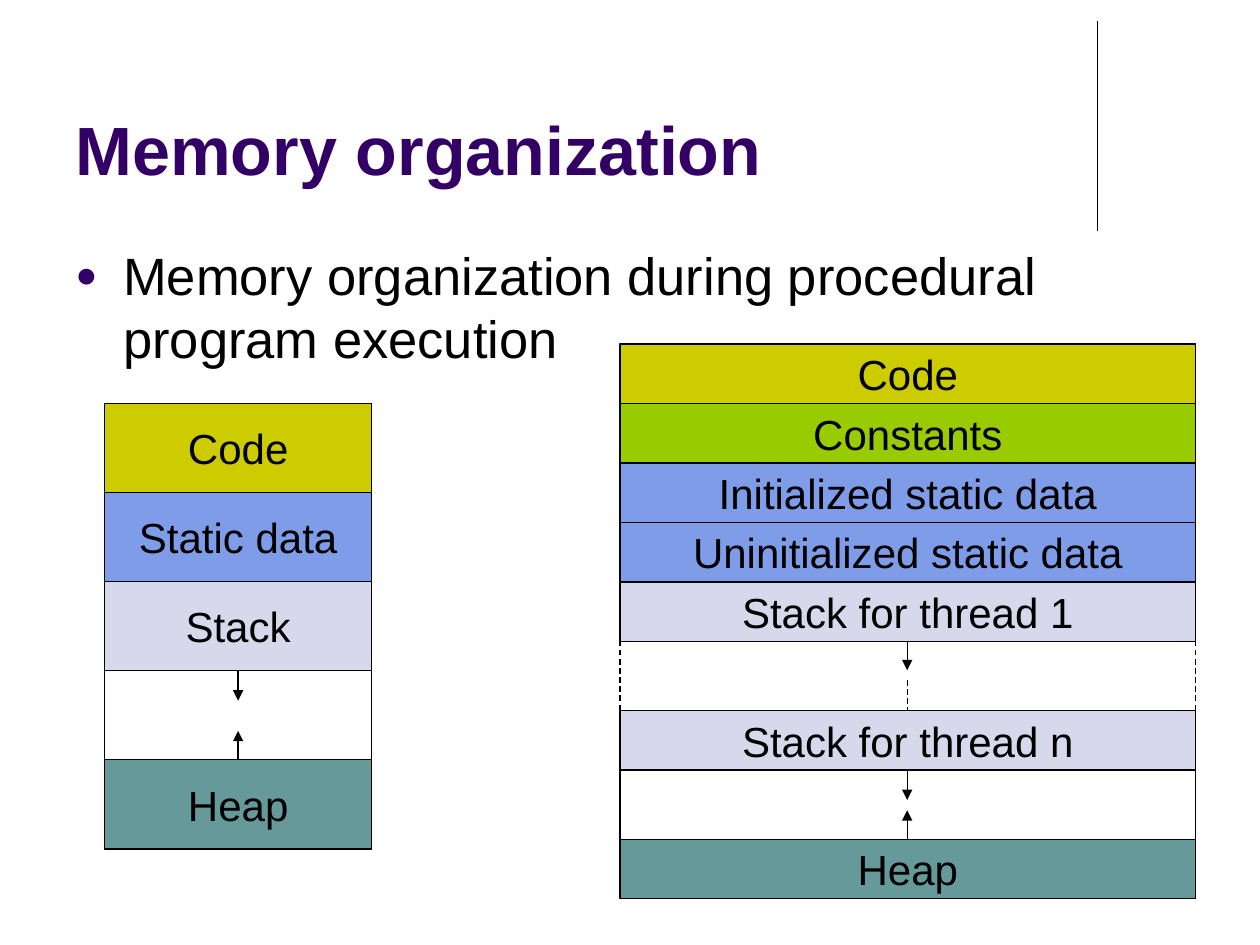
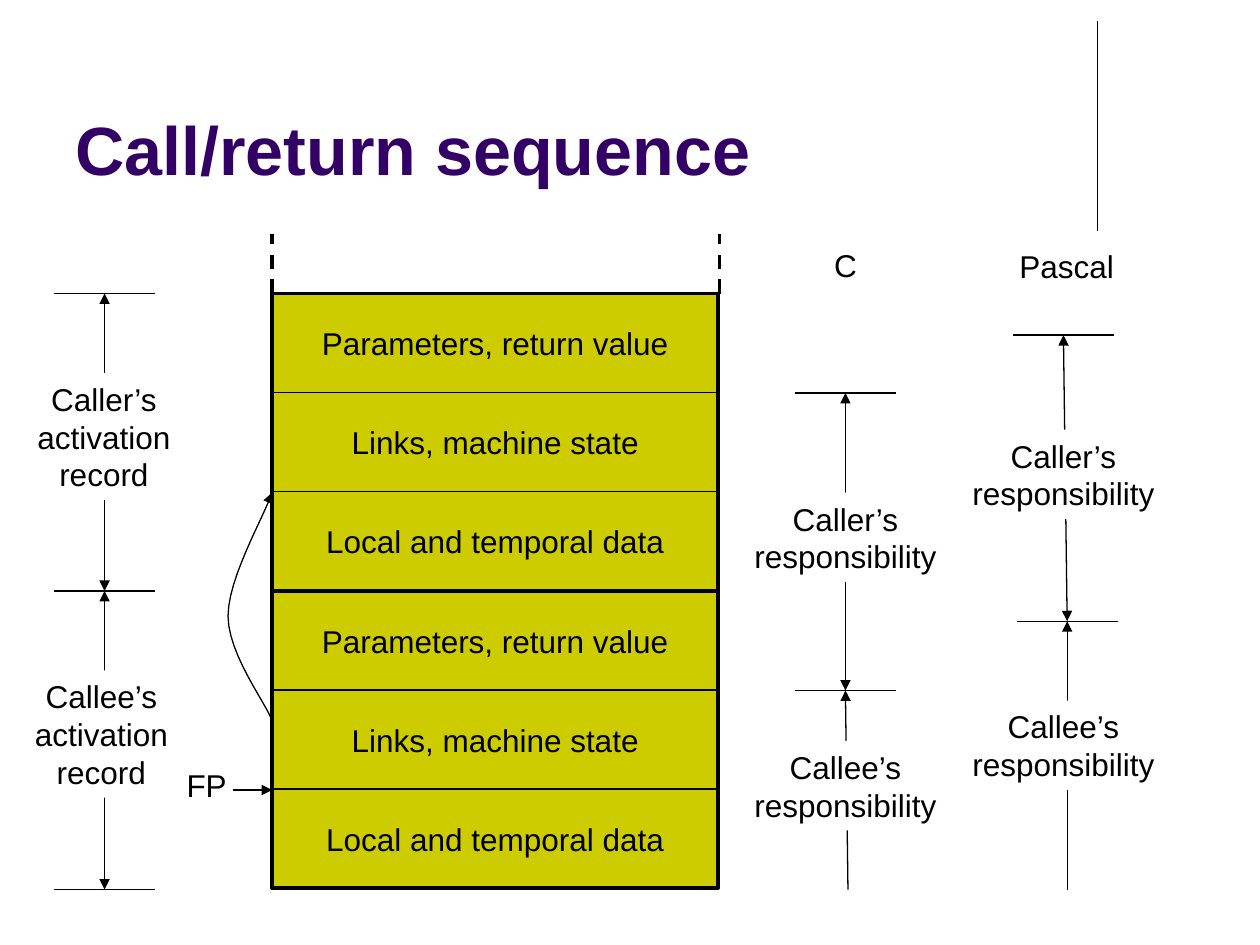
from lxml import etree
from pptx import Presentation
from pptx.dml.color import RGBColor
from pptx.enum import dml, shapes, text
from pptx.oxml import ns
from pptx.util import Inches, Pt

BLACK = RGBColor(0x00, 0x00, 0x00)
WHITE = RGBColor(0xFF, 0xFF, 0xFF)
PURPLE = RGBColor(0x33, 0x00, 0x66)
OLIVE = RGBColor(0xCC, 0xCC, 0x00)
GREEN = RGBColor(0x99, 0xCC, 0x00)
BLUE = RGBColor(0x7E, 0x9C, 0xE8)
LILAC = RGBColor(0xD8, 0xD8, 0xEC)
TEAL = RGBColor(0x66, 0x99, 0x99)
FONT = "Arial"


def add_box(s, x, y, w, h, txt="", size=18, fill=None, border=0.75):
    at = Inches(x), Inches(y), Inches(w), Inches(h)
    if border:
        sp = s.shapes.add_shape(shapes.MSO_SHAPE.RECTANGLE, *at)
        sp.shadow.inherit = False
        sp.line.color.rgb = BLACK
        sp.line.width = Pt(border)
    else:
        sp = s.shapes.add_textbox(*at)
    if fill is None:
        sp.fill.background()
    else:
        sp.fill.solid()
        sp.fill.fore_color.rgb = fill
    tf = sp.text_frame
    tf.text = txt
    tf.word_wrap = False
    tf.vertical_anchor = text.MSO_ANCHOR.MIDDLE
    p = tf.paragraphs[0]
    p.alignment = text.PP_ALIGN.CENTER
    for r in p.runs:
        r.font.name = FONT
        r.font.size = Pt(size)
        r.font.color.rgb = BLACK
    return sp


def add_line(s, x1, y1, x2, y2, ends=(), width=0.75, dash=False):
    c = s.shapes.add_connector(shapes.MSO_CONNECTOR.STRAIGHT,
                               Inches(x1), Inches(y1), Inches(x2), Inches(y2))
    c.line.color.rgb = BLACK
    c.line.width = Pt(width)
    if dash:
        c.line.dash_style = dml.MSO_LINE.DASH
    for end in ends:
        etree.SubElement(c.line._get_or_add_ln(), ns.qn("a:" + end), type="triangle")
    etree.SubElement(c._element.spPr, ns.qn("a:effectLst"))


HEAD, TAIL, BOTH = ["headEnd"], ["tailEnd"], ["headEnd", "tailEnd"]

prs = Presentation()
prs.slide_width = Inches(10)
prs.slide_height = Inches(7.5)

for title in ["Memory organization", "Call/return sequence"]:
    s = prs.slides.add_slide(prs.slide_layouts[6])
    add_line(s, 8.71, 0.17, 8.71, 1.83)
    sp = add_box(s, 0.5, 0.13, 8.25, 1.42, title, 39, border=0)
    tf = sp.text_frame
    tf.word_wrap = True
    tf.vertical_anchor = text.MSO_ANCHOR.BOTTOM
    p = tf.paragraphs[0]
    p.alignment = text.PP_ALIGN.LEFT
    p.runs[0].font.bold = True
    p.runs[0].font.color.rgb = PURPLE

memory, call = prs.slides

s = memory
sp = add_box(s, 0.5, 1.88, 9, 1.16,
             "Memory organization during procedural program execution", 30, border=0)
tf = sp.text_frame
tf.word_wrap = True
tf.vertical_anchor = text.MSO_ANCHOR.TOP
p = tf.paragraphs[0]
p.alignment = text.PP_ALIGN.LEFT
p.space_before = Pt(6)
pPr = p._p.get_or_add_pPr()
pPr.set("marL", str(Inches(0.38)))
pPr.set("indent", str(-Inches(0.38)))
buClr = etree.SubElement(pPr, ns.qn("a:buClr"))
etree.SubElement(buClr, ns.qn("a:srgbClr"), val=str(PURPLE))
etree.SubElement(pPr, ns.qn("a:buSzPct"), val="70000")
etree.SubElement(pPr, ns.qn("a:buFont"), typeface=FONT)
etree.SubElement(pPr, ns.qn("a:buChar"), char="●")

row = 2.83 / 4
simple = [("Code", OLIVE), ("Static data", BLUE), ("Stack", LILAC), ("", None), ("Heap", TEAL)]
for i, (name, fill) in enumerate(simple):
    add_box(s, 0.83, 3.2 + i * row, 2.12, row, name, 24, fill)
add_line(s, 1.89, 6.03, 1.89, 5.8, TAIL)
add_line(s, 1.89, 5.32, 1.89, 5.56, TAIL)

row = 2.36 / 5
gap = 0.55
threaded = [("Code", OLIVE), ("Constants", GREEN), ("Initialized static data", BLUE),
            ("Uninitialized static data", BLUE), ("Stack for thread 1", LILAC), None,
            ("Stack for thread n", LILAC), ("", None), ("Heap", TEAL)]
y = 2.73
for part in threaded:
    h = row if part and part[0] else gap
    if part:
        add_box(s, 4.92, y, 4.57, h, part[0], 24, part[1])
    else:
        for x in (4.92, 9.49):
            add_line(s, x, y, x, y + h, dash=True)
    y += h
add_line(s, 7.2, 5.09, 7.2, 5.32, TAIL)
add_line(s, 7.2, 5.4, 7.2, 5.64, dash=True)
add_line(s, 7.2, 6.11, 7.2, 6.35, TAIL)
add_line(s, 7.2, 6.66, 7.2, 6.43, TAIL)

s = call
row = 2.36 / 3
fields = ["Parameters, return value", "Links, machine state", "Local and temporal data"]
for top in (2.33, 4.69):
    for i, name in enumerate(fields):
        add_box(s, 2.16, top + i * row, 3.54, row, name, fill=OLIVE)
    add_box(s, 2.16, top, 3.54, 2.36, border=2)
for x in (2.16, 5.71):
    add_line(s, x, 2.33, x, 1.86, width=2, dash=True)

spans = [(0.83, 2.33, 0.83, 4.69, BOTH), (0.83, 4.69, 0.83, 7.06, BOTH),
         (6.71, 3.12, 6.71, 5.48, BOTH), (6.71, 5.48, 6.73, 7.06, HEAD),
         (8.44, 2.66, 8.47, 4.93, BOTH), (8.47, 4.93, 8.47, 7.06, HEAD)]
for span in spans:
    add_line(s, *span)
ticks = [(0.83, 2.33), (0.83, 4.69), (0.83, 7.06), (6.71, 3.12), (6.71, 5.48),
         (8.44, 2.66), (8.47, 4.93)]
for x, y in ticks:
    add_line(s, x - 0.4, y, x + 0.4, y)

labels = [(0.19, 2.96, "Caller’s\vactivation\vrecord"),
          (0.17, 5.32, "Callee’s\vactivation\vrecord"),
          (5.88, 3.91, "Caller’s\vresponsibility"), (5.88, 5.88, "Callee’s\vresponsibility"),
          (7.61, 3.41, "Caller’s\vresponsibility"), (7.61, 5.56, "Callee’s\vresponsibility")]
for x, y, name in labels:
    w, h = (1.27, 1.01) if "record" in name else (1.66, 0.71)
    add_box(s, x, y, w, h, name, fill=WHITE, border=0)
for x, y, w, name in [(1.38, 6.03, 0.52, "FP"), (6.52, 1.9, 0.38, "C"), (7.99, 1.91, 0.95, "Pascal")]:
    add_box(s, x, y, w, 0.4, name, border=0)
add_line(s, 1.85, 6.27, 2.16, 6.27, TAIL)

curves = [[(2.16, 5.72), (2.11, 5.58), (1.81, 5.19), (1.81, 4.89)],
          [(1.81, 4.89), (1.81, 4.59), (2.09, 4.11), (2.16, 3.91)]]
points = []
for a, b, c, d in curves:
    for i in range(1, 13):
        t = i / 12
        points.append([Inches((1 - t) ** 3 * a[k] + 3 * t * (1 - t) ** 2 * b[k]
                              + 3 * t ** 2 * (1 - t) * c[k] + t ** 3 * d[k]) for k in (0, 1)])
fb = s.shapes.build_freeform(Inches(2.16), Inches(5.72))
fb.add_line_segments(points, close=False)
sp = fb.convert_to_shape()
sp.shadow.inherit = False
sp.fill.background()
sp.line.color.rgb = BLACK
sp.line.width = Pt(0.75)
etree.SubElement(sp.line._get_or_add_ln(), ns.qn("a:tailEnd"), type="triangle")

prs.save("out.pptx")
